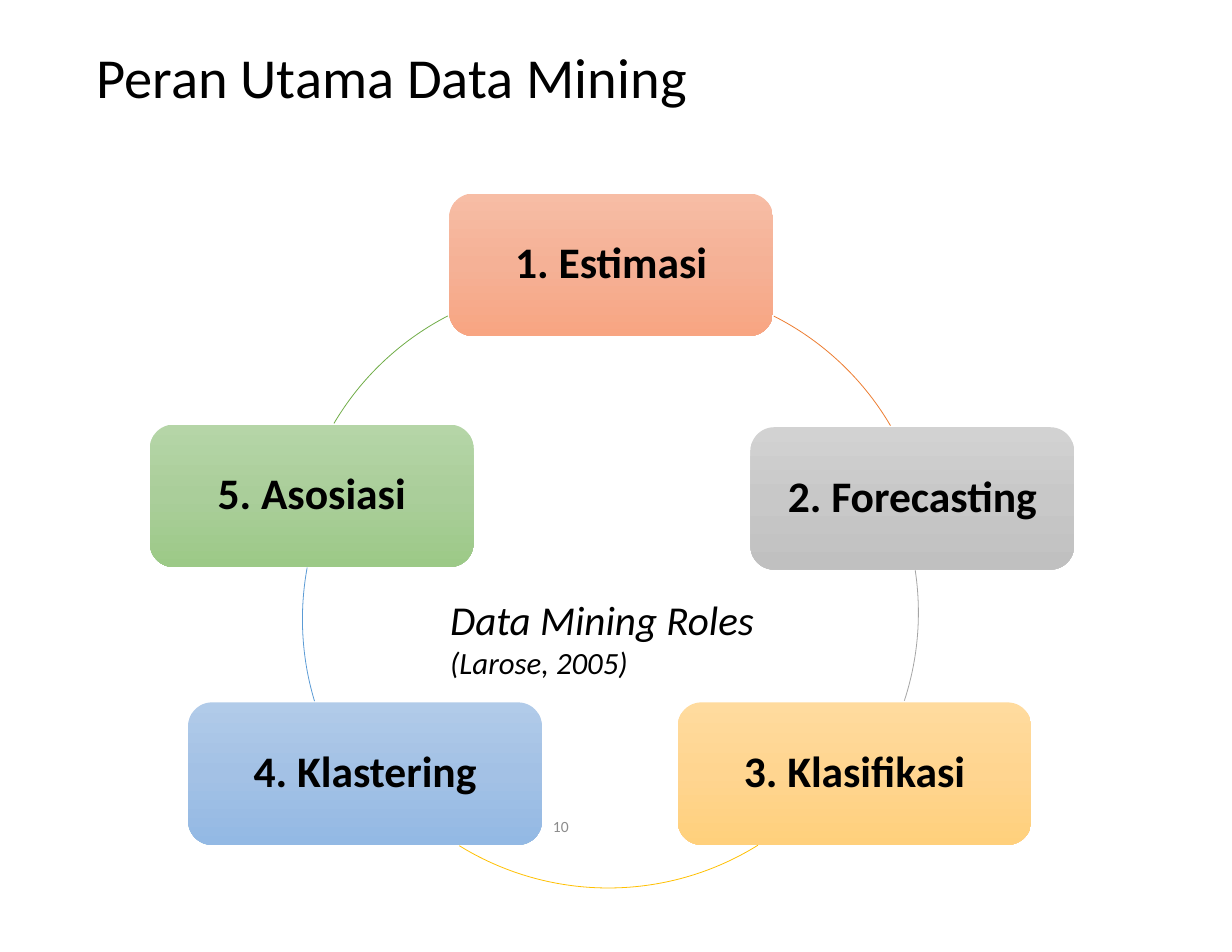
import copy
from dataclasses import dataclass

import pptx
import pptx.dml.color
import pptx.enum.shapes
import pptx.enum.text
import pptx.oxml.ns
import pptx.util

Cm = pptx.util.Cm
SHAPE = pptx.enum.shapes.MSO_SHAPE
ALIGN = pptx.enum.text.PP_ALIGN
ANCHOR = pptx.enum.text.MSO_ANCHOR


@dataclass(frozen=True)
class Theme:
    font: str = "Calibri"
    ink: str = "000000"
    muted: str = "8C8C8C"
    title_size: float = 36.3
    role_size: float = 28
    caption_size: float = 26.4
    source_size: float = 19.8
    number_size: float = 10
    arc_width: float = 0.5


@dataclass(frozen=True)
class Role:
    """A rounded box; lengths in cm, gradient from top to bottom."""
    label: str
    left: float
    top: float
    width: float
    gradient: tuple[str, str, str]


@dataclass(frozen=True)
class Arc:
    """Part of a circle; lengths in cm, angles clockwise from the right."""
    left: float
    top: float
    start: float
    end: float
    color: str


THEME = Theme()
BOX_HEIGHT = 3.23
BOX_INSET = 0.3
CIRCLE = 12.85

ROLES = [
    Role("1. Estimasi", 10.19, 4.39, 7.34, ("F7BDA5", "F5B196", "F8A582")),
    Role("2. Forecasting", 17.02, 9.69, 7.34, ("D2D2D2", "C8C8C8", "C0C0C0")),
    Role("3. Klasifikasi", 15.37, 15.93, 8.02, ("FFDB9E", "FFD590", "FFD07C")),
    Role("4. Klastering", 4.27, 15.93, 8.02, ("B1CBE9", "A3C1E5", "93B9E4")),
    Role("5. Asosiasi", 3.4, 9.63, 7.34, ("B5D5A7", "AACE9A", "9CC987")),
]
ARCS = [
    Arc(8.23, 6.48, 296.8, 329.6, "ED7D31"),
    Arc(7.98, 7.47, 351.4, 18.1, "A5A5A5"),
    Arc(7.37, 7.29, 58.1, 121.7, "FFC000"),
    Arc(6.86, 7.62, 163.2, 190.5, "5B9BD5"),
    Arc(6.68, 6.45, 210.6, 242.7, "70AD47"),
]


def rgb(value: str) -> pptx.dml.color.RGBColor:
    return pptx.dml.color.RGBColor.from_string(value)


def apply(target, values: dict) -> None:
    for name, value in values.items():
        setattr(target, name, value)


def write(para, text: str, size: float, color: str = THEME.ink, **values) -> None:
    span = para.add_run()
    span.text = text
    apply(span.font, {"name": THEME.font, "size": pptx.util.Pt(size), **values})
    span.font.color.rgb = rgb(color)


def draw_role(page, role: Role) -> None:
    box = page.shapes.add_shape(
        SHAPE.ROUNDED_RECTANGLE,
        Cm(role.left), Cm(role.top), Cm(role.width), Cm(BOX_HEIGHT))
    box.shadow.inherit = False
    box.line.fill.background()

    # Vertical gradient with a third stop in the middle
    box.fill.gradient()
    box.fill.gradient_angle = 270
    stop_list = box.element.spPr.find(".//" + pptx.oxml.ns.qn("a:gsLst"))
    stop_list.insert(1, copy.deepcopy(stop_list[0]))
    for index, stop in enumerate(box.fill.gradient_stops):
        stop.position = index / 2
        stop.color.rgb = rgb(role.gradient[index])

    sides = ("left", "top", "right", "bottom")
    apply(box.text_frame, {f"margin_{side}": Cm(BOX_INSET) for side in sides})
    apply(box.text_frame, {"word_wrap": True, "vertical_anchor": ANCHOR.MIDDLE})
    para = box.text_frame.paragraphs[0]
    apply(para, {"alignment": ALIGN.CENTER, "line_spacing": 0.9})
    write(para, role.label, THEME.role_size, bold=True)


def draw_arc(page, arc: Arc) -> None:
    curve = page.shapes.add_shape(
        SHAPE.ARC, Cm(arc.left), Cm(arc.top), Cm(CIRCLE), Cm(CIRCLE))
    # An adjustment of 0.6 is one degree
    for index, angle in enumerate((arc.start, arc.end)):
        curve.adjustments[index] = angle * 0.6
    curve.shadow.inherit = False
    curve.fill.background()
    curve.line.color.rgb = rgb(arc.color)
    curve.line.width = pptx.util.Pt(THEME.arc_width)


def draw_title(page, text: str) -> None:
    title = page.shapes.title
    apply(title, {"left": Cm(1.93), "top": Cm(0.79),
                  "width": Cm(26.01), "height": Cm(2.08)})
    apply(title.text_frame, {"vertical_anchor": ANCHOR.MIDDLE, "word_wrap": True,
                             "auto_size": pptx.enum.text.MSO_AUTO_SIZE.NONE})
    para = title.text_frame.paragraphs[0]
    apply(para, {"alignment": ALIGN.LEFT, "line_spacing": 0.9})
    write(para, text, THEME.title_size)


def draw_page_number(page, text: str) -> None:
    box = page.shapes.add_textbox(Cm(9.86), Cm(18.42), Cm(5.72), Cm(0.64))
    apply(box.text_frame, {"word_wrap": True, "vertical_anchor": ANCHOR.MIDDLE})
    para = box.text_frame.paragraphs[0]
    para.alignment = ALIGN.CENTER
    write(para, text, THEME.number_size, THEME.muted)


def draw_caption(page, heading: str, source: str) -> None:
    box = page.shapes.add_textbox(Cm(9.96), Cm(13.36), Cm(7.49), Cm(2.24))
    box.text_frame.word_wrap = False
    write(box.text_frame.paragraphs[0], heading, THEME.caption_size, italic=True)
    write(box.text_frame.add_paragraph(), source, THEME.source_size, italic=True)


def main() -> None:
    deck = pptx.Presentation()
    apply(deck, {"slide_width": Cm(27.94), "slide_height": Cm(21.59)})
    page = deck.slides.add_slide(deck.slide_layouts.get_by_name("Title Only"))

    draw_title(page, "Peran Utama Data Mining")
    draw_page_number(page, "10")

    # Cycle of roles, each followed by its arc to the next
    for role, arc in zip(ROLES, ARCS):
        draw_role(page, role)
        draw_arc(page, arc)

    draw_caption(page, "Data Mining Roles", "(Larose, 2005)")
    deck.save("out.pptx")


if __name__ == "__main__":
    main()
